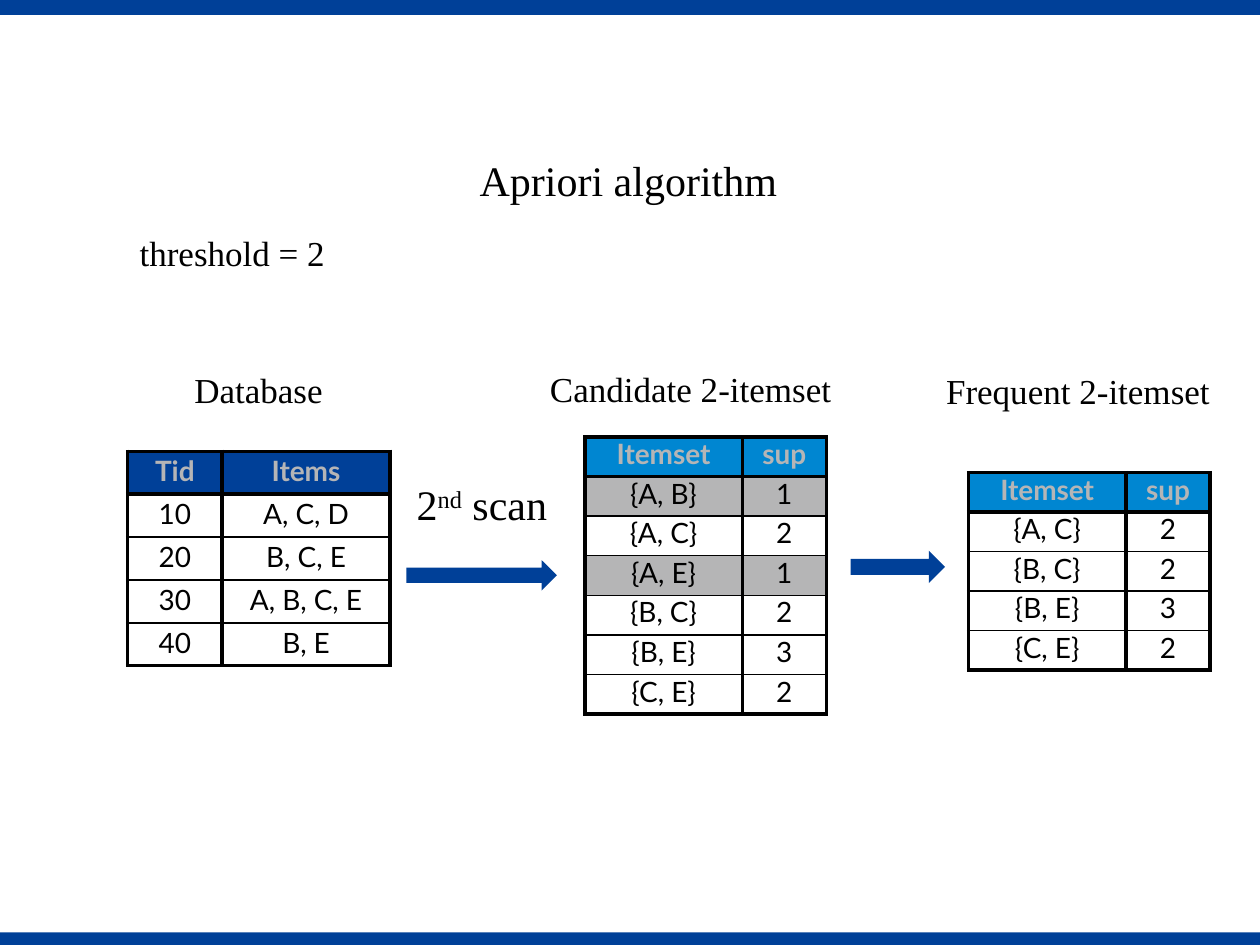
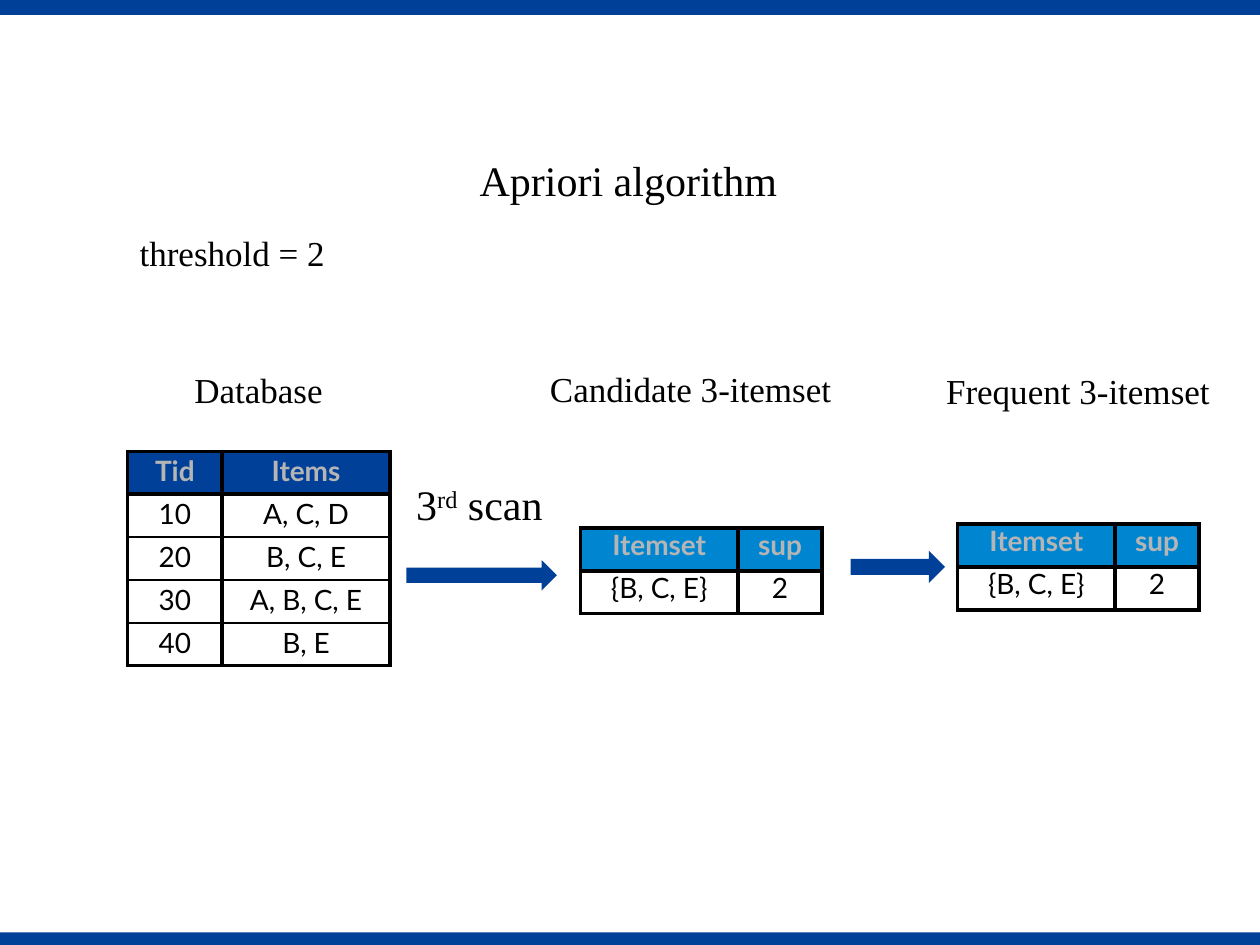
from lxml import etree
from pptx import Presentation
from pptx import util as u
from pptx.dml import color
from pptx.enum import shapes, text
from pptx.oxml import ns

COLORS = {
    "band": "004098",
    "itemset_header": "0086D1",
    "grey": "B5B5B6",
    "black": "000000",
}
SERIF = "Times New Roman"
SANS = "Lato"
WIDTH, HEIGHT = 720, 540
THICK, THIN = 2.25, 1
THRESHOLD = 2

TITLE_FORMAT = {"name": SERIF, "size": u.Pt(24)}
LABEL_FORMAT = {"name": SERIF, "size": u.Pt(20)}
HEADER_FORMAT = {"name": SANS, "size": u.Pt(16), "bold": True}
BODY_FORMAT = {**HEADER_FORMAT, "bold": False}

TRANSACTIONS = [
    ("10", "A, C, D"),
    ("20", "B, C, E"),
    ("30", "A, B, C, E"),
    ("40", "B, E"),
]
PAIRS = [
    ("{A, B}", 1),
    ("{A, C}", 2),
    ("{A, E}", 1),
    ("{B, C}", 2),
    ("{B, E}", 3),
    ("{C, E}", 2),
]
TRIPLES = [("{B, C, E}", 2)]


def rgb(name):
    return color.RGBColor.from_string(COLORS[name])


def format_font(font, values, color_name="black"):
    for attribute, value in values.items():
        setattr(font, attribute, value)
    font.color.rgb = rgb(color_name)


def add_solid(slide, kind, left, top, width, height):
    shape = slide.shapes.add_shape(kind, u.Pt(left), u.Pt(top), u.Pt(width), u.Pt(height))
    shape.shadow.inherit = False
    shape.fill.solid()
    shape.fill.fore_color.rgb = rgb("band")
    shape.line.fill.background()


def add_label(slide, runs, left, top, width, height, values=LABEL_FORMAT,
              wrap=False, centered=False):
    box = slide.shapes.add_textbox(u.Pt(left), u.Pt(top), u.Pt(width), u.Pt(height))
    frame = box.text_frame
    frame.word_wrap = wrap
    frame.auto_size = text.MSO_AUTO_SIZE.SHAPE_TO_FIT_TEXT
    paragraph = frame.paragraphs[0]
    if centered:
        frame.vertical_anchor = text.MSO_ANCHOR.MIDDLE
        paragraph.alignment = text.PP_ALIGN.CENTER
    for content, baseline in runs:
        run = paragraph.add_run()
        run.text = content
        format_font(run.font, values)
        if baseline:
            run._r.get_or_add_rPr().set("baseline", str(baseline * 1000))


def set_borders(cell, top, bottom):
    properties = cell._tc.get_or_add_tcPr()
    for side, width in {"L": THICK, "R": THICK, "T": top, "B": bottom}.items():
        line = etree.SubElement(properties, ns.qn(f"a:ln{side}"), w=str(u.Pt(width)))
        fill = etree.SubElement(line, ns.qn("a:solidFill"))
        etree.SubElement(fill, ns.qn("a:srgbClr"), val=COLORS["black"])


def fill_cell(cell, fill_name):
    if fill_name:
        cell.fill.solid()
        cell.fill.fore_color.rgb = rgb(fill_name)
    else:
        cell.fill.background()


def add_grid(slide, header, rows, left, top, column_widths, row_height,
             header_fill, line_spacing, is_shaded=lambda row: False):
    records = [header, *rows]
    frame = slide.shapes.add_table(
        len(records), len(header), u.Pt(left), u.Pt(top),
        u.Pt(sum(column_widths)), u.Pt(row_height * len(records)))
    table = frame.table
    table.first_row = table.horz_banding = False
    for column, width in zip(table.columns, column_widths):
        column.width = u.Pt(width)
    for index, record in enumerate(records):
        table.rows[index].height = u.Pt(row_height)
        is_header = index == 0
        if is_header:
            fill_name = header_fill
        else:
            fill_name = "grey" if is_shaded(record) else None
        for column_index, value in enumerate(record):
            cell = table.cell(index, column_index)
            set_borders(cell, THICK if index < 2 else THIN,
                        THICK if index in (0, len(rows)) else THIN)
            fill_cell(cell, fill_name)
            paragraph = cell.text_frame.paragraphs[0]
            paragraph.alignment = text.PP_ALIGN.CENTER
            paragraph.line_spacing = line_spacing
            run = paragraph.add_run()
            run.text = str(value)
            format_font(run.font, HEADER_FORMAT if is_header else BODY_FORMAT,
                        "grey" if is_header else "black")


def add_itemsets(slide, rows, left, top, row_height):
    add_grid(slide, ("Itemset", "sup"), rows, left, top, (90, 48), row_height,
             "itemset_header", 0.8, lambda row: row[1] < THRESHOLD)


def add_scan_slide(presentation, size, ordinal, scan_width, candidates,
                   candidate_place, frequent_place, row_height):
    slide = presentation.slides.add_slide(presentation.slide_layouts[6])
    rectangle = shapes.MSO_SHAPE.RECTANGLE
    arrow = shapes.MSO_SHAPE.RIGHT_ARROW
    add_solid(slide, rectangle, 0, 532.8, WIDTH, 7.2)
    add_solid(slide, rectangle, 0, 0, WIDTH, 8.5)
    add_label(slide, [("Apriori algorithm", 0)], 267, 85, 186, 36, TITLE_FORMAT)
    add_label(slide, [(f"threshold = {THRESHOLD}", 0)], 72.7, 129, 130, 31.5, wrap=True)

    add_label(slide, [("Database", 0)], 103.5, 206.7, 88.5, 31.5, centered=True)
    add_grid(slide, ("Tid", "Items"), TRANSACTIONS, 72.9, 257.9, (54, 96), 24.5,
             "band", 0.9)
    add_solid(slide, arrow, 232.2, 320, 86, 17.5)
    add_label(slide, [(str(size), 0), (ordinal, 30), (" scan", 0)],
              229.7, 270, scan_width, 36, TITLE_FORMAT, centered=True)

    add_label(slide, [(f"Candidate {size}-itemset", 0)], 307.2, 206.7, 176.4, 31.5)
    add_itemsets(slide, candidates, *candidate_place, row_height)
    add_solid(slide, arrow, 486, 314.7, 54, 18.5)

    frequent = [row for row in candidates if row[1] >= THRESHOLD]
    add_label(slide, [(f"Frequent {size}-itemset", 0)], 533.5, 207.8, 166.3, 31.5)
    add_itemsets(slide, frequent, *frequent_place, row_height)


def main():
    presentation = Presentation()
    presentation.slide_width = u.Pt(WIDTH)
    presentation.slide_height = u.Pt(HEIGHT)
    add_scan_slide(presentation, 2, "nd", 91.4, PAIRS, (334.2, 249.8), (553.4, 270), 22.55)
    add_scan_slide(presentation, 3, "rd", 88.6, TRIPLES, (331.7, 301.7), (547.2, 299.5), 24.5)
    presentation.save("out.pptx")


if __name__ == "__main__":
    main()
